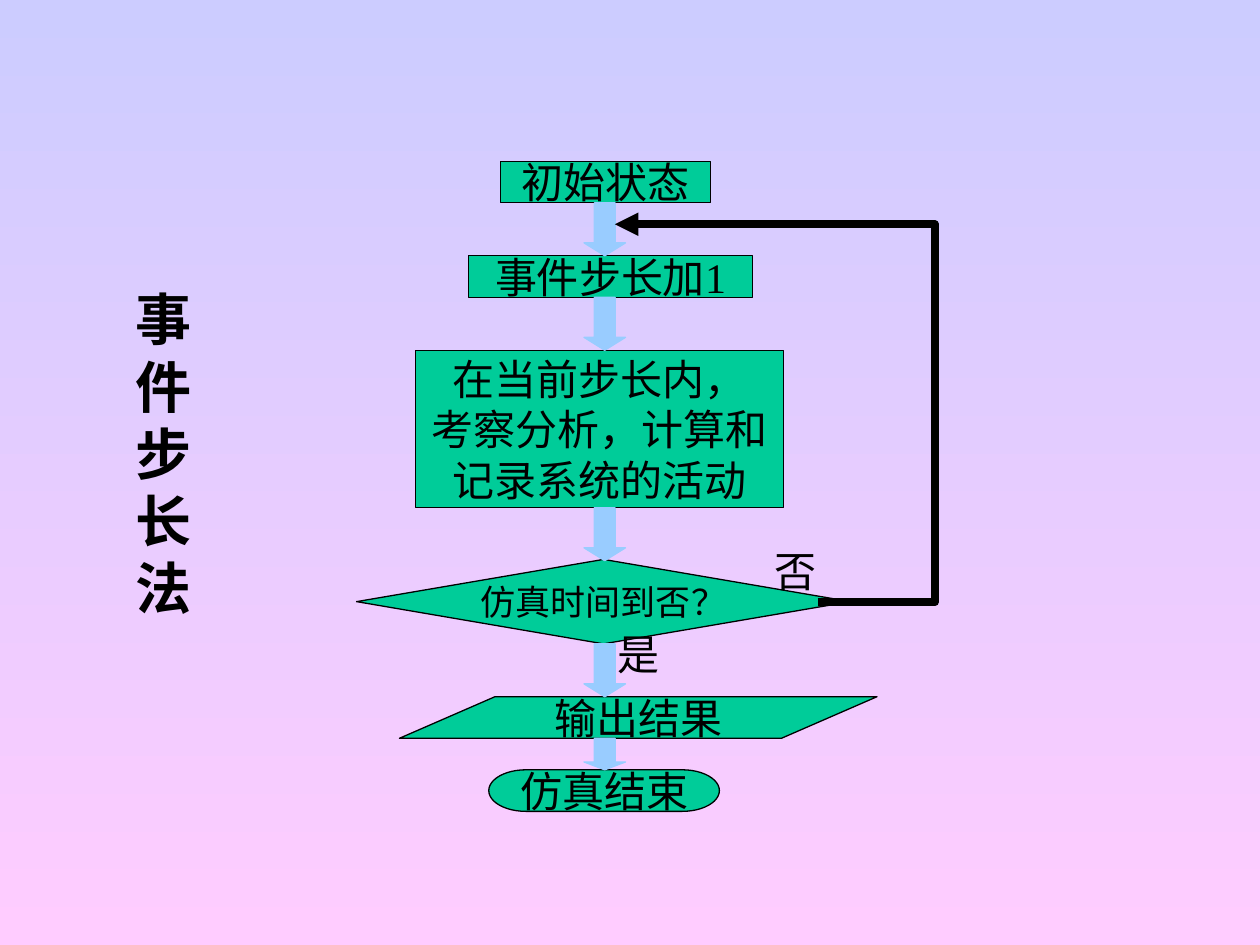
from pptx import Presentation
from pptx import util as u
from pptx.dml.color import RGBColor
from pptx.enum import shapes, text
from pptx.oxml import ns
from lxml import etree

BLACK = RGBColor(0x00, 0x00, 0x00)
GREEN = RGBColor(0x00, 0xCC, 0x99)
SKY = RGBColor(0x99, 0xCC, 0xFF)
LAVENDER = RGBColor(0xCC, 0xCC, 0xFF)
PINK = RGBColor(0xFF, 0xCC, 0xFF)
FONT = "Times New Roman"
SHAPE = shapes.MSO_SHAPE
CENTER = text.PP_ALIGN.CENTER
AXIS = 4.8


def write_text(shape, content, size=24, bold=False, align=CENTER,
               anchor=text.MSO_ANCHOR.MIDDLE, wrap=False):
    frame = shape.text_frame
    frame.word_wrap = wrap
    frame.vertical_anchor = anchor
    frame.text = content
    for paragraph in frame.paragraphs:
        paragraph.alignment = align
        paragraph.font.name = FONT
        paragraph.font.size = u.Pt(size)
        paragraph.font.bold = bold
        paragraph.font.color.rgb = BLACK


class FlowChart:
    def __init__(self, slide):
        self.slide = slide

    def background(self, top, bottom):
        fill = self.slide.background.fill
        fill.gradient()
        fill.gradient_angle = 270
        for stop, color in zip(fill.gradient_stops, (top, bottom)):
            stop.color.rgb = color

    def shape(self, kind, left, top, width, height, fill, line):
        shape = self.slide.shapes.add_shape(
            kind, u.Inches(left), u.Inches(top), u.Inches(width), u.Inches(height))
        shape.shadow.inherit = False
        shape.fill.solid()
        shape.fill.fore_color.rgb = fill
        shape.line.color.rgb = line
        shape.line.width = u.Pt(0.75)
        return shape

    def step(self, kind, left, top, width, height, content, size=24):
        shape = self.shape(kind, left, top, width, height, GREEN, BLACK)
        write_text(shape, content, size=size)

    def down_arrow(self, top, height=0.42, head=0.31):
        width = 0.33
        arrow = self.shape(SHAPE.DOWN_ARROW, AXIS - width / 2, top, width, height, SKY, SKY)
        arrow.adjustments[1] = head

    def label(self, left, top, width, height, content, **style):
        box = self.slide.shapes.add_textbox(
            u.Inches(left), u.Inches(top), u.Inches(width), u.Inches(height))
        write_text(box, content, **style)

    def loop_back(self, *corners):
        start, *rest = [(u.Inches(x), u.Inches(y)) for x, y in corners]
        builder = self.slide.shapes.build_freeform(*start)
        builder.add_line_segments(rest, close=False)
        loop = builder.convert_to_shape()
        loop.shadow.inherit = False
        loop.fill.background()
        loop.line.color.rgb = BLACK
        loop.line.width = u.Pt(4.5)
        line = loop.line._get_or_add_ln()
        etree.SubElement(line, ns.qn("a:round"))
        etree.SubElement(line, ns.qn("a:tailEnd"), type="triangle")


def main():
    presentation = Presentation()
    presentation.slide_width = u.Inches(10)
    presentation.slide_height = u.Inches(7.5)
    chart = FlowChart(presentation.slides.add_slide(presentation.slide_layouts[6]))
    chart.background(LAVENDER, PINK)

    chart.label(0.83, 1.23, 0.94, 4.73, "事件步长法", size=32, bold=True, wrap=True)

    chart.step(SHAPE.RECTANGLE, 3.97, 1.28, 1.67, 0.33, "初始状态")
    chart.step(SHAPE.RECTANGLE, 3.72, 2.03, 2.25, 0.33, "事件步长加1")
    chart.step(SHAPE.RECTANGLE, 3.3, 2.78, 2.92, 1.25,
               "在当前步长内，\n考察分析，计算和\n记录系统的活动")
    chart.step(SHAPE.FLOWCHART_DECISION, 2.83, 4.44, 3.92, 0.67, "仿真时间到否？", size=20)
    chart.step(SHAPE.FLOWCHART_DATA, 3.17, 5.53, 3.79, 0.33, "输出结果")
    chart.step(SHAPE.FLOWCHART_TERMINATOR, 3.88, 6.11, 1.83, 0.33, "仿真结束")

    for top in (1.61, 2.36, 4.03, 5.11):
        chart.down_arrow(top)
    chart.down_arrow(5.86, height=0.25, head=0.25)

    chart.loop_back((6.49, 4.78), (7.42, 4.78), (7.42, 1.78), (4.88, 1.78))

    for left, top, answer in ((4.8, 4.94, "是"), (6.05, 4.28, "否")):
        chart.label(left, top, 0.53, 0.5, answer,
                    align=text.PP_ALIGN.LEFT, anchor=text.MSO_ANCHOR.TOP)

    presentation.save("out.pptx")


if __name__ == "__main__":
    main()
